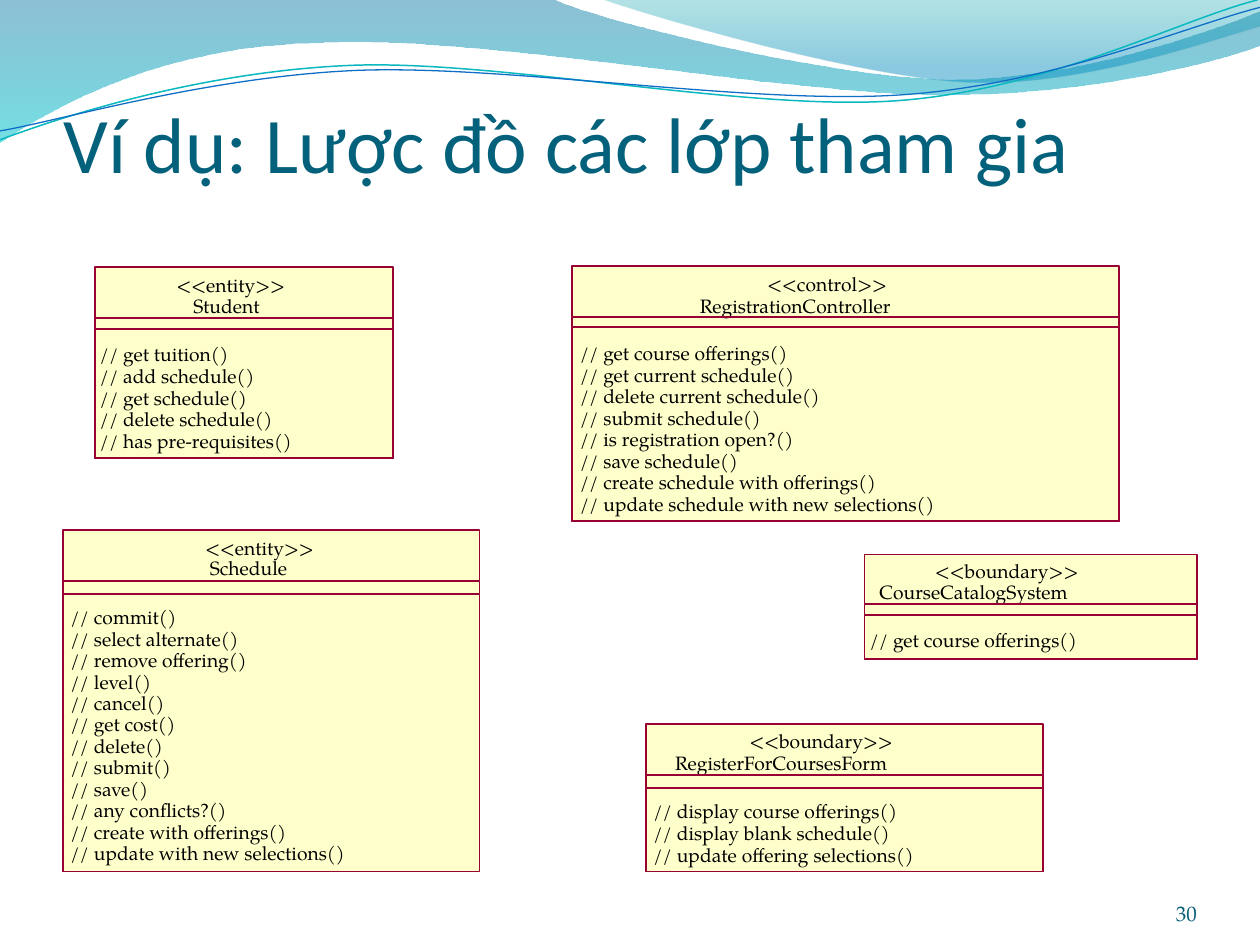
from dataclasses import dataclass

from lxml.etree import SubElement
from pptx import Presentation
from pptx.dml.color import RGBColor
from pptx.enum.shapes import MSO_SHAPE as Shape
from pptx.enum.text import MSO_ANCHOR as Anchor, MSO_AUTO_SIZE as AutoSize, PP_ALIGN as Align
from pptx.oxml.ns import qn
from pptx.util import Cm, Pt

COLORS = {
    "title": "04617B", "number": "045D75", "text": "000000",
    "box": "FFFFCC", "border": "990033",
    "wave_top": "0074A1", "wave_bottom": "00C6CF",
    "crest_top": "00A1A9", "crest_bottom": "008BBF",
    "teal_line": "0AB8BF", "blue_line": "0F6FC6",
}
SERIF = "TeX Gyre Pagella"
LINE_HEIGHT = 0.41
CHAR_WIDTH = 0.26


@dataclass
class UmlClass:
    stereotype: str
    stereotype_at: tuple[float, float]
    name: str
    name_at: tuple[float, float]
    left: float
    top: float
    width: float
    height: float
    dividers: tuple[float, float]
    operations_at: tuple[float, float]
    last_operation_top: float
    operations: tuple[str, ...]


@dataclass
class Stop:
    position: float
    color: str
    opacity: int


@dataclass
class Wave:
    start: tuple[float, float]
    steps: tuple[tuple[float, ...], ...]
    stops: tuple[Stop, ...] = ()
    line_color: str = ""
    line_width: float = 0


WAVES = (
    Wave((0, 0), (
        (11.18, 0),
        (12.09, 0.43, 16.87, 1.6, 19.25, 1.6),
        (21.67, 1.6, 24.33, 0.66, 25.4, 0.23),
        (25.4, 0.91),
        (24.97, 1.12, 22.1, 1.93, 18.95, 1.91),
        (15.8, 1.91, 9.7, 0.71, 6.53, 0.86),
        (3.28, 0.91, 1.17, 2.11, 0, 2.87),
    ), stops=(Stop(0, "wave_top", 45), Stop(1, "wave_bottom", 55))),
    Wave((12.17, 0), (
        (12.93, 0.28, 17.32, 1.57, 19.53, 1.65),
        (21.74, 1.75, 24.41, 0.81, 25.4, 0.53),
        (25.4, 0),
    ), stops=(Stop(0, "crest_top", 30), Stop(0.8, "crest_bottom", 45))),
    Wave((0, 2.82), (
        (1.22, 2.36, 4.01, 1.45, 7.04, 1.32),
        (10.03, 1.19, 15.06, 2.26, 18.11, 2.03),
        (21.16, 1.8, 23.83, 0.38, 25.35, 0),
    ), line_color="teal_line", line_width=0.85),
    Wave((0, 2.64), (
        (1.19, 2.44, 4.17, 1.55, 7.19, 1.42),
        (10.24, 1.3, 15.16, 2.13, 18.21, 1.91),
        (21.23, 1.7, 23.9, 0.53, 25.4, 0.15),
    ), line_color="blue_line", line_width=0.75),
)

CLASSES = (
    UmlClass("entity", (3.56, 5.51), "Student", (3.9, 5.94),
             1.91, 5.39, 6.02, 3.84, (6.41, 6.63), (2.01, 6.91), 8.65, (
                 "get tuition", "add schedule", "get schedule", "delete schedule",
                 "has pre-requisites")),
    UmlClass("control", (15.47, 5.49), "RegistrationController", (14.11, 5.93),
             11.53, 5.37, 11.03, 5.14, (6.39, 6.6), (11.69, 6.89), 9.92, (
                 "get course offerings", "get current schedule", "delete current schedule",
                 "submit schedule", "is registration open?", "save schedule",
                 "create schedule with offerings", "update schedule with new selections")),
    UmlClass("boundary", (18.85, 11.28), "CourseCatalogSystem", (17.73, 11.7),
             17.43, 11.18, 6.7, 2.11, (12.17, 12.4), (17.53, 12.67), 12.67, (
                 "get course offerings",)),
    UmlClass("boundary", (15.11, 14.71), "RegisterForCoursesForm", (13.61, 15.14),
             13.03, 14.6, 8, 2.97, (15.62, 15.88), (13.17, 16.11), 16.99, (
                 "display course offerings", "display blank schedule",
                 "update offering selections")),
    UmlClass("entity", (4.14, 10.82), "Schedule", (4.23, 11.22),
             1.27, 10.69, 8.4, 6.88, (11.72, 11.98), (1.42, 12.21), 16.96, (
                 "commit", "select alternate", "remove offering", "level", "cancel",
                 "get cost", "delete", "submit", "save", "any conflicts?",
                 "create with offerings", "update with new selections")),
)


def rgb(key: str) -> RGBColor:
    return RGBColor.from_string(COLORS[key])


def add_text(slide, text: str, left: float, top: float, width: float, height: float,
             size: float, color: str, font: str = SERIF, align=Align.LEFT,
             anchor=Anchor.TOP, wrap: bool = True):
    box = slide.shapes.add_textbox(Cm(left), Cm(top), Cm(width), Cm(height))
    frame = box.text_frame
    frame.margin_left = frame.margin_right = frame.margin_top = frame.margin_bottom = 0
    frame.word_wrap = wrap
    frame.auto_size = AutoSize.NONE if wrap else AutoSize.SHAPE_TO_FIT_TEXT
    frame.vertical_anchor = anchor
    paragraph = frame.paragraphs[0]
    paragraph.text = text
    paragraph.alignment = align
    paragraph.font.size = Pt(size)
    paragraph.font.name = font
    paragraph.font.color.rgb = rgb(color)
    return frame


def add_label(slide, text: str, left: float, top: float) -> None:
    add_text(slide, text, left, top, CHAR_WIDTH * len(text), LINE_HEIGHT, 11, "text", wrap=False)


def add_compartment(slide, uml: UmlClass, top: float, filled: bool) -> None:
    bottom = uml.top + uml.height
    compartment = slide.shapes.add_shape(
        Shape.RECTANGLE, Cm(uml.left), Cm(top), Cm(uml.width), Cm(bottom - top))
    compartment.shadow.inherit = False
    if filled:
        compartment.fill.solid()
        compartment.fill.fore_color.rgb = rgb("box")
    else:
        compartment.fill.background()
    compartment.line.color.rgb = rgb("border")
    compartment.line.width = Pt(1)


def add_class(slide, uml: UmlClass) -> None:
    add_compartment(slide, uml, uml.top, True)
    add_label(slide, uml.name, *uml.name_at)
    for divider in uml.dividers:
        add_compartment(slide, uml, divider, False)
    left, first_top = uml.operations_at
    pitch = (uml.last_operation_top - first_top) / max(len(uml.operations) - 1, 1)
    for row, operation in enumerate(uml.operations):
        add_label(slide, f"// {operation}()", left, first_top + row * pitch)
    add_label(slide, f"<<{uml.stereotype}>>", *uml.stereotype_at)


def bend(ribbon, wave: Wave) -> None:
    segments = list(ribbon.element.spPr.iter(qn("a:lnTo")))
    for segment, step in zip(segments, wave.steps):
        if len(step) == 2:
            continue
        segment.tag = qn("a:cubicBezTo")
        for point in list(segment):
            segment.remove(point)
        for x, y in zip(step[::2], step[1::2]):
            SubElement(segment, qn("a:pt"), x=str(Cm(x) - ribbon.left), y=str(Cm(y) - ribbon.top))


def add_wave(slide, wave: Wave) -> None:
    builder = slide.shapes.build_freeform(*map(Cm, wave.start))
    builder.add_line_segments([(Cm(step[-2]), Cm(step[-1])) for step in wave.steps],
                              close=bool(wave.stops))
    ribbon = builder.convert_to_shape()
    bend(ribbon, wave)
    ribbon.shadow.inherit = False
    if not wave.stops:
        ribbon.fill.background()
        ribbon.line.color.rgb = rgb(wave.line_color)
        ribbon.line.width = Pt(wave.line_width)
        return
    ribbon.line.fill.background()
    ribbon.fill.gradient()
    ribbon.fill.gradient_angle = 270
    for target, stop in zip(ribbon.fill.gradient_stops, wave.stops):
        target.position = stop.position
        target.color.rgb = rgb(stop.color)
    for color, stop in zip(ribbon.element.spPr.iter(qn("a:srgbClr")), wave.stops):
        SubElement(color, qn("a:alpha"), val=str(stop.opacity * 1000))


def main() -> None:
    deck = Presentation()
    deck.slide_width, deck.slide_height = Cm(25.4), Cm(19.05)
    slide = deck.slides.add_slide(deck.slide_layouts[6])
    for wave in WAVES:
        add_wave(slide, wave)
    title = add_text(slide, "Ví dụ: Lược đồ các lớp tham gia", 1.28, 1.96, 22.86, 1.85,
                     45, "title", "Calibri", anchor=Anchor.BOTTOM)
    title.margin_top = Cm(0.13)
    add_text(slide, "30", 22.02, 17.65, 2.11, 1.02, 12, "number",
             align=Align.RIGHT, anchor=Anchor.BOTTOM)
    for uml in CLASSES:
        add_class(slide, uml)
    deck.save("out.pptx")


if __name__ == "__main__":
    main()
